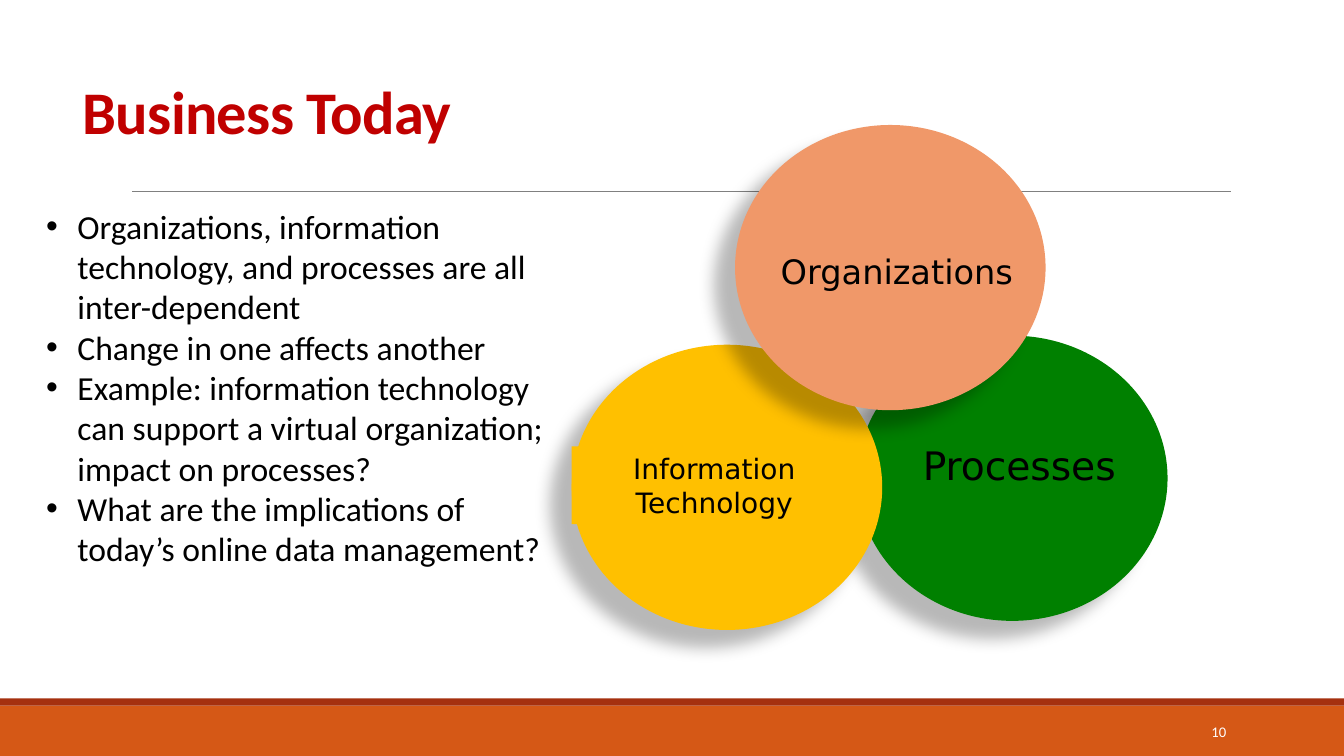
from lxml import etree
from pptx import Presentation
from pptx.dml.color import RGBColor
from pptx.enum import shapes, text
from pptx.oxml import ns
from pptx.util import Inches, Pt

HUES = {"orange": "D55816", "rust": "A5300F", "gray": "808080", "green": "008000",
        "gold": "FFC000", "peach": "F09869", "red": "C00000", "black": "000000",
        "white": "FFFFFF"}


def style(par, face, size, hue):
    par.font.name = face
    par.font.size = Pt(size)
    par.font.color.rgb = RGBColor.from_string(HUES[hue])


def draw(home, kind, box, hue):
    shape = home.add_shape(kind, *map(Inches, box))
    shape.shadow.inherit = False
    shape.fill.solid()
    shape.fill.fore_color.rgb = RGBColor.from_string(HUES[hue])
    shape.line.fill.background()
    return shape


prs = Presentation()
prs.slide_width, prs.slide_height = Inches(13.33), Inches(7.5)
slide = prs.slides.add_slide(prs.slide_layouts[5])
rect, oval = shapes.MSO_SHAPE.RECTANGLE, shapes.MSO_SHAPE.OVAL

draw(slide.shapes, rect, (0, 7, 13.33, 0.5), "orange")
draw(slide.shapes, rect, (0, 6.93, 13.33, 0.07), "rust")
rule = slide.shapes.add_connector(shapes.MSO_CONNECTOR.STRAIGHT, Inches(1.31), Inches(1.9),
                                  Inches(12.21), Inches(1.9))
rule.line.color.rgb = RGBColor.from_string(HUES["gray"])
rule.line.width = Pt(0.5)
etree.SubElement(rule._element.spPr, ns.qn("a:effectLst"))

circles = [
    ("green", (8.5, 3.33), (8.81, 4.33, 2.6, 0.57), ["Processes"], 28),
    ("gold", (5.67, 3.42), (5.67, 4.43, 2.83, 0.77), ["Information", "Technology"], 20),
    ("peach", (7.29, 1.24), (7.64, 2.44, 2.51, 0.5), ["Organizations"], 24),
]
for hue, spot, box, lines, size in circles:
    group = slide.shapes.add_group_shape()
    disc = draw(group.shapes, oval, (*spot, 3.08, 2.83), hue)
    glow = etree.SubElement(disc._element.spPr.find(ns.qn("a:effectLst")), ns.qn("a:outerShdw"),
                            blurRad=str(Pt(11.8)), dist=str(Pt(19.7)), dir=str(141 * 60000),
                            algn="ctr", rotWithShape="0")
    tint = etree.SubElement(glow, ns.qn("a:srgbClr"), val=HUES["black"])
    etree.SubElement(tint, ns.qn("a:alpha"), val="28000")
    label = draw(group.shapes, rect, box, hue)
    frame = label.text_frame
    frame.word_wrap = False
    frame.vertical_anchor = text.MSO_ANCHOR.TOP
    frame.text = "\n".join(lines)
    for par in frame.paragraphs:
        par.alignment = text.PP_ALIGN.CENTER
        style(par, "DejaVu Sans", size, "black")

title = slide.shapes.title
title.left, title.top, title.width, title.height = map(Inches, (0.72, 0.91, 8.22, 0.6))
frame = title.text_frame
frame.text = "Business Today"
frame.auto_size = text.MSO_AUTO_SIZE.NONE
frame.vertical_anchor = text.MSO_ANCHOR.BOTTOM
par = frame.paragraphs[0]
par.alignment = text.PP_ALIGN.LEFT
par.line_spacing = 0.85
style(par, "Calibri", 43.2, "red")
par.font.bold = True
par.runs[0].font._element.set("spc", "-50")

page = slide.shapes.add_textbox(*map(Inches, (10.83, 7.06, 1.43, 0.4)))
frame = page.text_frame
frame.word_wrap = True
frame.vertical_anchor = text.MSO_ANCHOR.MIDDLE
frame.text = "10"
frame.paragraphs[0].alignment = text.PP_ALIGN.RIGHT
style(frame.paragraphs[0], "Calibri", 10.5, "white")

points = [
    "Organizations, information technology, and processes are all inter-dependent",
    "Change in one affects another",
    "Example: information technology can support a virtual organization; impact on processes?",
    "What are the implications of today’s online data management?",
]
body = slide.shapes.add_textbox(*map(Inches, (0.36, 1.99, 5.16, 4.14)))
frame = body.text_frame
frame.word_wrap = True
frame.text = "\n".join(points)
for par in frame.paragraphs:
    props = par._p.get_or_add_pPr()
    props.set("marL", str(Inches(0.31)))
    props.set("indent", str(-Inches(0.31)))
    etree.SubElement(props, ns.qn("a:buFont"), typeface="Arial")
    etree.SubElement(props, ns.qn("a:buChar"), char="•")
    style(par, "Calibri", 24, "black")

prs.save("out.pptx")
